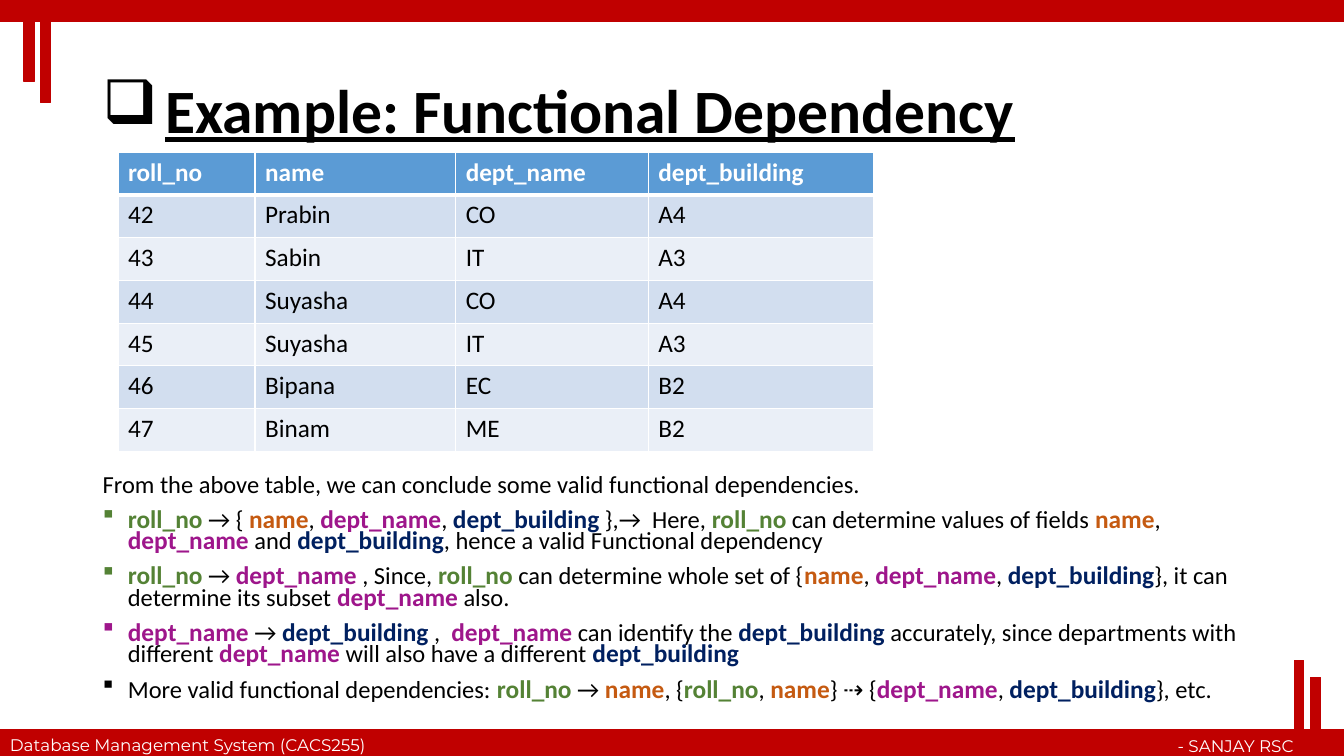
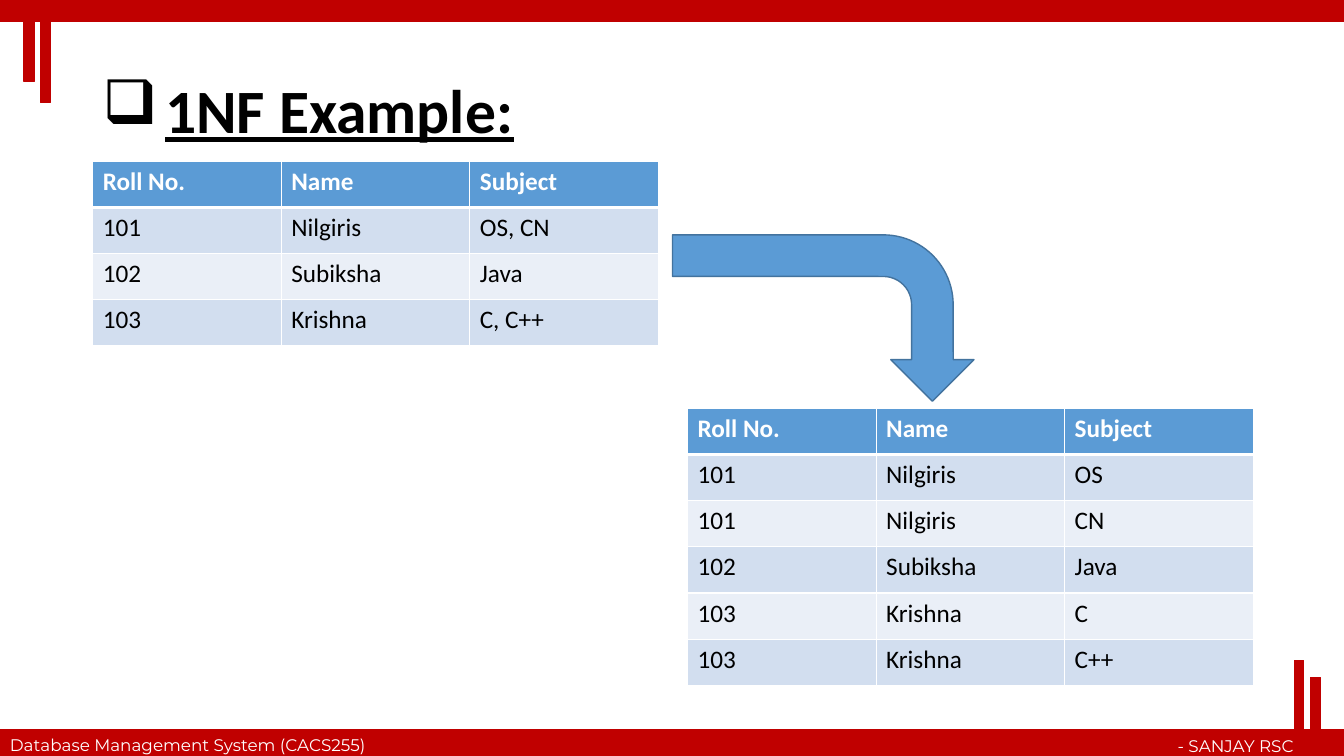
from dataclasses import dataclass

from lxml.etree import SubElement
from pptx import Presentation
from pptx.dml.color import RGBColor
from pptx.enum.shapes import MSO_SHAPE
from pptx.enum.text import MSO_ANCHOR, PP_ALIGN
from pptx.oxml import parse_xml
from pptx.oxml.ns import nsdecls, qn
from pptx.slide import Slide
from pptx.util import Inches, Pt

RED = "C00000"
WHITE = "FFFFFF"
BLACK = "000000"
BLUE = "5B9BD5"
BLUE_EDGE = "43739E"
STRIPES = ("D2DEEF", "EAEFF7")
FIELD_COLORS = {
    "roll_no": "548235",
    "name": "C55A11",
    "dept_name": "9E168B",
    "dept_building": "002060",
}


@dataclass(frozen=True)
class Box:
    left: float
    top: float
    width: float
    height: float

    def lengths(self) -> tuple:
        return tuple(Inches(v) for v in (self.left, self.top, self.width, self.height))


@dataclass(frozen=True)
class Grid:
    box: Box
    column_widths: tuple
    rows: tuple


FOOTER_BAND = Box(0, 7.24, 13.33, 0.26)
TOP_BAND_AND_BARS = (
    Box(0, 0, 13.33, 0.21),
    Box(0.4, 0.01, 0.1, 1.01),
    Box(0.24, 0.03, 0.1, 0.78),
    Box(12.84, 6.55, 0.09, 0.94),
    Box(13, 6.72, 0.1, 0.78),
)
FOOTER_TEXTS = (
    (Box(0, 7.24, 4.16, 0.3), "Database Management System (CACS255)", PP_ALIGN.LEFT),
    (Box(9.7, 7.25, 3.23, 0.3), "- SANJAY RSC", PP_ALIGN.RIGHT),
)

STUDENTS = Grid(
    Box(1.17, 1.51, 7.5, 2.97),
    (1.36, 1.99, 1.91, 2.24),
    (
        ("roll_no", "name", "dept_name", "dept_building"),
        ("42", "Prabin", "CO", "A4"),
        ("43", "Sabin", "IT", "A3"),
        ("44", "Suyasha", "CO", "A4"),
        ("45", "Suyasha", "IT", "A3"),
        ("46", "Bipana", "EC", "B2"),
        ("47", "Binam", "ME", "B2"),
    ),
)
SUBJECT_HEADER = ("Roll No.", "Name", "Subject")
UNNORMALIZED = Grid(
    Box(0.92, 1.6, 5.6, 1.83),
    (1.87,) * 3,
    (
        SUBJECT_HEADER,
        ("101", "Nilgiris", "OS, CN"),
        ("102", "Subiksha", "Java"),
        ("103", "Krishna", "C, C++"),
    ),
)
FIRST_NORMAL_FORM = Grid(
    Box(6.82, 4.05, 5.6, 2.75),
    (1.87,) * 3,
    (
        SUBJECT_HEADER,
        ("101", "Nilgiris", "OS"),
        ("101", "Nilgiris", "CN"),
        ("102", "Subiksha", "Java"),
        ("103", "Krishna", "C"),
        ("103", "Krishna", "C++"),
    ),
)

INTRO = "From the above table, we can conclude some valid functional dependencies."
DEPENDENCIES = (
    "roll_no| → { |name|, |dept_name|, |dept_building| },→ \u00a0Here, |roll_no"
    "| can determine values of fields |name|, |dept_name| and |dept_building"
    "|, hence a valid Functional dependency",
    "roll_no| → |dept_name| , Since, |roll_no| can determine whole set of {|name"
    "|, |dept_name|, |dept_building|}, it can determine its subset |dept_name| also.",
    "dept_name| → |dept_building| , \u00a0|dept_name| can identify the |dept_building"
    "| accurately, since departments with different |dept_name"
    "| will also have a different |dept_building",
    "More valid functional dependencies: |roll_no| → |name|, {|roll_no|, |name"
    "|} ⇢ {|dept_name|, |dept_building|}, etc.",
)


def rgb(color: str) -> RGBColor:
    return RGBColor.from_string(color)


def style_font(font, size: float, color: str, bold: bool = False, face: str = "Calibri") -> None:
    font.name = face
    font.size = Pt(size)
    font.bold = bold
    font.color.rgb = rgb(color)


def add_filled(slide: Slide, kind: MSO_SHAPE, box: Box, fill: str, line: str):
    shape = slide.shapes.add_shape(kind, *box.lengths())
    shape.shadow.inherit = False
    shape.fill.solid()
    shape.fill.fore_color.rgb = rgb(fill)
    shape.line.color.rgb = rgb(line)
    shape.line.width = Pt(1)
    return shape


def add_text_frame(slide: Slide, box: Box):
    frame = slide.shapes.add_textbox(*box.lengths()).text_frame
    frame.word_wrap = True
    return frame


def add_bullet(paragraph, indent: float, symbol: str) -> None:
    properties = paragraph._p.get_or_add_pPr()
    properties.set("marL", str(Inches(indent)))
    properties.set("indent", str(-Inches(indent)))
    SubElement(properties, qn("a:buFont"), typeface="Wingdings", charset="2")
    SubElement(properties, qn("a:buChar"), char=symbol)


def add_frame(slide: Slide) -> None:
    add_filled(slide, MSO_SHAPE.RECTANGLE, FOOTER_BAND, RED, RED)
    for box, text, alignment in FOOTER_TEXTS:
        frame = add_text_frame(slide, box)
        frame.text = text
        paragraph = frame.paragraphs[0]
        paragraph.alignment = alignment
        style_font(paragraph.runs[0].font, 12, WHITE, face="Montserrat")
    for box in TOP_BAND_AND_BARS:
        add_filled(slide, MSO_SHAPE.RECTANGLE, box, RED, RED)


def add_title(slide: Slide, text: str) -> None:
    frame = add_text_frame(slide, Box(0.92, 0.4, 11.5, 1.45))
    frame.vertical_anchor = MSO_ANCHOR.MIDDLE
    frame.text = text
    paragraph = frame.paragraphs[0]
    paragraph.line_spacing = 0.9
    add_bullet(paragraph, 0.62, "q")
    font = paragraph.runs[0].font
    style_font(font, 44, BLACK, bold=True)
    font.underline = True


def set_borders(cell, top: float, bottom: float) -> None:
    properties = cell._tc.get_or_add_tcPr()
    sides = (("lnL", 1), ("lnR", 1), ("lnT", top), ("lnB", bottom))
    for position, (side, width) in enumerate(sides):
        border = parse_xml(
            f'<a:{side} {nsdecls("a")} w="{Pt(width)}"><a:solidFill>'
            f'<a:srgbClr val="{WHITE}"/></a:solidFill></a:{side}>'
        )
        properties.insert(position, border)


def add_grid(slide: Slide, grid: Grid) -> None:
    row_count = len(grid.rows)
    table = slide.shapes.add_table(
        row_count, len(grid.column_widths), *grid.box.lengths()
    ).table
    for column, width in zip(table.columns, grid.column_widths):
        column.width = Inches(width)
    for r, values in enumerate(grid.rows):
        table.rows[r].height = Inches(grid.box.height / row_count)
        is_header = r == 0
        for c, value in enumerate(values):
            cell = table.cell(r, c)
            cell.text = value
            cell.fill.solid()
            cell.fill.fore_color.rgb = rgb(BLUE if is_header else STRIPES[(r - 1) % 2])
            set_borders(cell, top=3 if r == 1 else 1, bottom=3 if is_header else 1)
            font = cell.text_frame.paragraphs[0].runs[0].font
            style_font(font, 18, WHITE if is_header else BLACK, bold=is_header)


def add_dependencies(slide: Slide) -> None:
    frame = add_text_frame(slide, Box(0.92, 4.68, 11.5, 2.61))
    for index, statement in enumerate((INTRO, *DEPENDENCIES)):
        paragraph = frame.add_paragraph() if index else frame.paragraphs[0]
        paragraph.line_spacing = 0.7
        paragraph.space_before = Pt(10)
        if index:
            add_bullet(paragraph, 0.25, "§")
        for part in statement.split("|"):
            run = paragraph.add_run()
            run.text = part
            is_field = part in FIELD_COLORS
            style_font(
                run.font,
                18.1 if is_field else 17.5,
                FIELD_COLORS.get(part, BLACK),
                bold=is_field,
            )


def add_conversion_arrow(slide: Slide) -> None:
    arrow = add_filled(
        slide, MSO_SHAPE.BENT_ARROW, Box(7.34, 1.66, 1.65, 2.99), BLUE, BLUE_EDGE
    )
    arrow.rotation = 90
    for index, ratio in enumerate((0.25, 0.25, 0.25, 0.42)):
        arrow.adjustments[index] = ratio


def add_titled_slide(presentation, title: str) -> Slide:
    slide = presentation.slides.add_slide(presentation.slide_layouts[6])
    add_frame(slide)
    add_title(slide, title)
    return slide


def main() -> None:
    presentation = Presentation()
    presentation.slide_width = Inches(13.33)
    presentation.slide_height = Inches(7.5)

    dependency = add_titled_slide(presentation, "Example: Functional Dependency")
    add_dependencies(dependency)
    add_grid(dependency, STUDENTS)

    normal_form = add_titled_slide(presentation, "1NF Example:")
    add_grid(normal_form, UNNORMALIZED)
    add_grid(normal_form, FIRST_NORMAL_FORM)
    add_conversion_arrow(normal_form)

    presentation.save("out.pptx")


if __name__ == "__main__":
    main()
